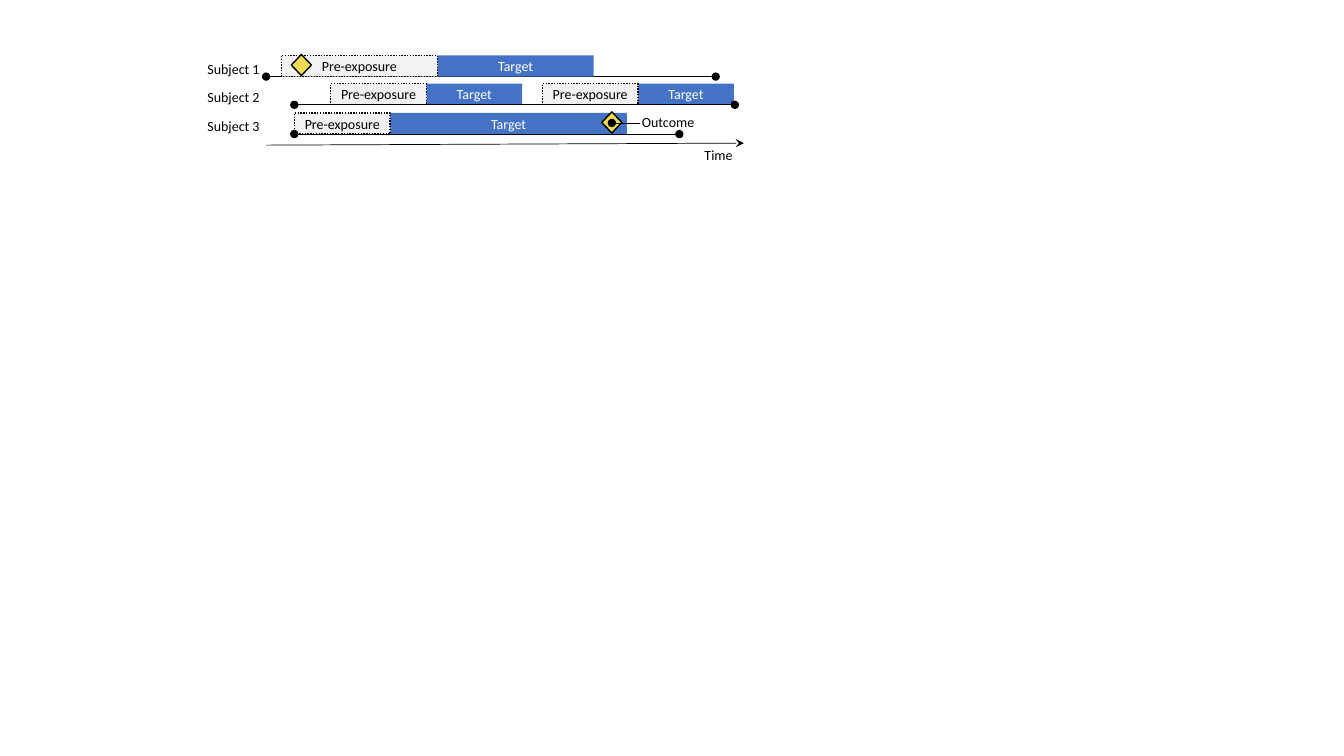
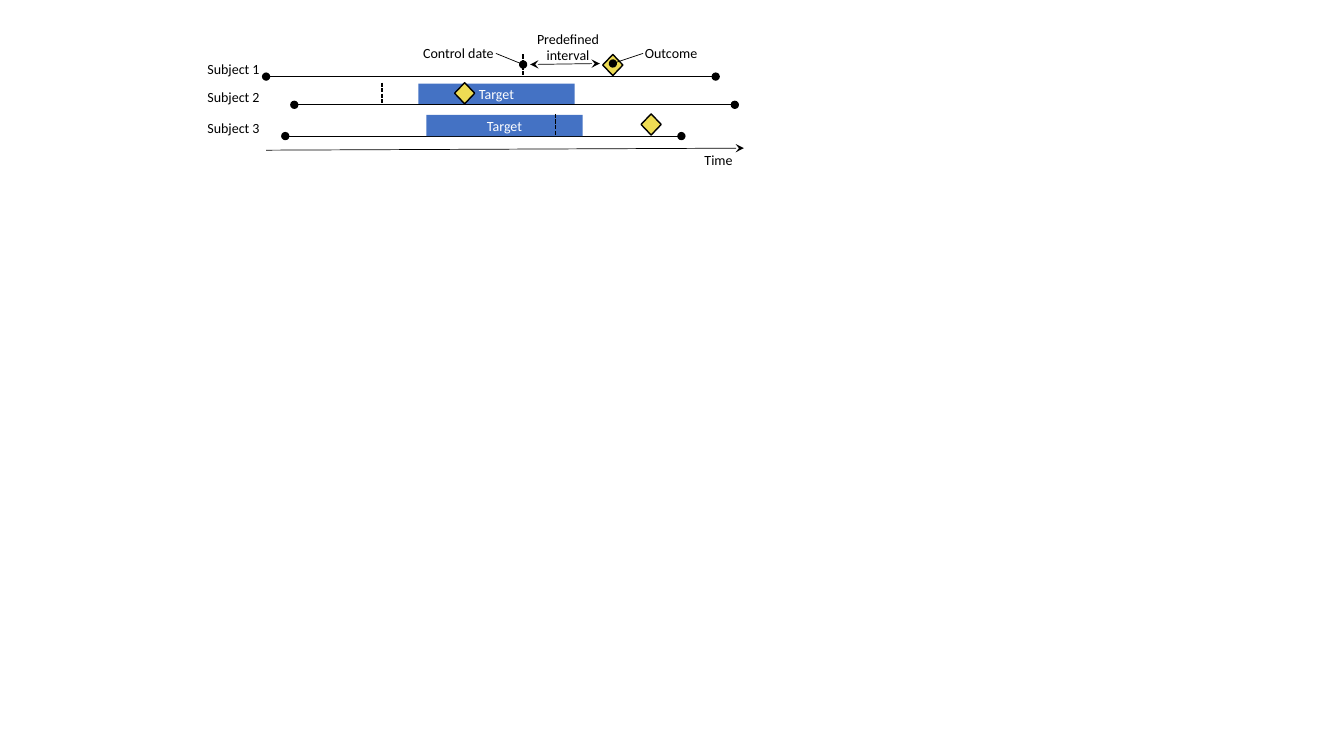
"""Two subject timelines that illustrate exposure and outcome study designs."""
from dataclasses import dataclass
from typing import NamedTuple

from lxml import etree
from pptx import Presentation
from pptx import util as u
from pptx.dml.color import RGBColor
from pptx.enum import dml, shapes, text
from pptx.oxml.ns import qn

COLORS = {"ink": "000000", "paper": "FFFFFF", "target": "4472C4",
          "pre": "F2F2F2", "outcome": "EEDC54"}
FONT = "Calibri"
CELLS_PER_INCH = 10
COLUMNS, ROWS = 133.33, 75
BAR_ROWS = 2.1
MARK_ROWS = 2.2
DIAMOND_COLUMNS = 2
LABEL_ROWS = 2.7
SUBJECT_COLUMN = 19.6
AXIS_START, AXIS_END = 26.4, 73.8


class Exposure(NamedTuple):
    """A target period, with the pre-exposure period that leads up to it."""
    start: float
    pre: float
    target: float


class Label(NamedTuple):
    """Free text placed on the grid."""
    words: str
    column: float
    row: float
    columns: float
    rows: float = LABEL_ROWS
    align: text.PP_ALIGN = text.PP_ALIGN.LEFT


class Stroke(NamedTuple):
    """A straight line between two grid points."""
    start: tuple[float, float]
    end: tuple[float, float]
    head: str = ""
    tail: str = ""
    points: float = 0.5
    dash: dml.MSO_LINE | None = None


@dataclass(frozen=True)
class Subject:
    """One subject's observation period and the events within it."""
    start: float
    end: float
    row: float
    exposures: tuple[Exposure, ...] = ()
    outcome: float | None = None
    control: float | None = None
    line_in_front: bool = False


@dataclass(frozen=True)
class Timeline:
    """All that one slide shows."""
    subjects: tuple[Subject, ...]
    axis_row: float
    labels: tuple[Label, ...]
    pointers: tuple[Stroke, ...]


TIMELINES = (
    Timeline(
        subjects=(
            Subject(26.4, 71, 7.6, (Exposure(27.9, 15.5, 15.5),), outcome=28.9),
            Subject(29.2, 72.9, 10.4, (Exposure(32.8, 9.5, 9.5), Exposure(53.8, 9.5, 9.5)),
                    line_in_front=True),
            Subject(29.2, 67.4, 13.3, (Exposure(29.2, 9.5, 23.5),), outcome=59.7,
                    line_in_front=True),
        ),
        axis_row=14.4,
        labels=(Label("Outcome", 62.7, 10.8, 7.3),),
        pointers=(Stroke((63.5, 12.2), (60.7, 12.2), tail="oval"),),
    ),
    Timeline(
        subjects=(
            Subject(26.4, 71, 7.6, outcome=59.8, control=51.9),
            Subject(29.2, 72.9, 10.4, (Exposure(41.5, 0, 15.5),), outcome=45.1,
                    control=37.9, line_in_front=True),
            Subject(28.3, 67.6, 13.5, (Exposure(42.3, 0, 15.5),), outcome=63.6, control=55.1),
        ),
        axis_row=14.9,
        labels=(
            Label("Outcome", 63, 3.9, 7.3),
            Label("Control date", 41, 3.9, 9.2),
            Label("Predefined\ninterval", 52.2, 2.5, 8.3, 4.4, text.PP_ALIGN.CENTER),
        ),
        pointers=(
            Stroke((63.8, 5.3), (60.8, 6.3), tail="oval"),
            Stroke((49.2, 5.3), (51.9, 6.4), tail="oval"),
            Stroke((52.6, 6.4), (59.5, 6.3), head="stealth", tail="stealth"),
        ),
    ),
)


def grid(cells: float) -> u.Length:
    """Turn a number of grid cells into a length."""
    return u.Inches(cells / CELLS_PER_INCH)


def color(name: str) -> RGBColor:
    """Look up a named colour."""
    return RGBColor.from_string(COLORS[name])


def write(frame, words: str, *, ink: str = "ink", align=text.PP_ALIGN.LEFT, size: float = 10) -> None:
    """Fill a text frame with formatted text."""
    frame.text = words
    for paragraph in frame.paragraphs:
        paragraph.alignment = align
        font = paragraph.runs[0].font
        font.name, font.size = FONT, u.Pt(size)
        font.color.rgb = color(ink)


def draw_label(slide, label: Label) -> None:
    """Place a label that grows with its text."""
    box = slide.shapes.add_textbox(*map(grid, (label.column, label.row, label.columns, label.rows)))
    box.text_frame.word_wrap = False
    box.text_frame.auto_size = text.MSO_AUTO_SIZE.SHAPE_TO_FIT_TEXT
    write(box.text_frame, label.words, align=label.align)


def draw_stroke(slide, stroke: Stroke) -> None:
    """Draw a line with optional dashes and end marks."""
    connector = slide.shapes.add_connector(
        shapes.MSO_CONNECTOR.STRAIGHT, *map(grid, (*stroke.start, *stroke.end)))
    line = connector.line
    line.color.rgb = color("ink")
    line.width = u.Pt(stroke.points)
    if stroke.dash is not None:
        line.dash_style = stroke.dash
    properties = connector._element.spPr
    outline = properties.find(qn("a:ln"))
    for tag, mark in (("a:headEnd", stroke.head), ("a:tailEnd", stroke.tail)):
        if mark:
            etree.SubElement(outline, qn(tag), type=mark)
    etree.SubElement(properties, qn("a:effectLst"))


def draw_shape(slide, kind, fill: str, column: float, row: float, columns: float,
               outlined: bool = True):
    """Draw a filled shape, one bar high, with or without an outline."""
    shape = slide.shapes.add_shape(kind, *map(grid, (column, row, columns, BAR_ROWS)))
    shape.shadow.inherit = False
    shape.fill.solid()
    shape.fill.fore_color.rgb = color(fill)
    if outlined:
        shape.line.color.rgb = color("ink")
        shape.line.width = u.Pt(1)
    else:
        shape.line.fill.background()
    return shape


def draw_bar(slide, words: str, fill: str, column: float, row: float, columns: float,
             *, ink: str = "ink", dotted: bool = False) -> None:
    """Draw a period as a captioned bar."""
    bar = draw_shape(slide, shapes.MSO_SHAPE.RECTANGLE, fill, column, row, columns, dotted)
    if dotted:
        bar.line.dash_style = dml.MSO_LINE.ROUND_DOT
    frame = bar.text_frame
    frame.margin_left = frame.margin_right = frame.margin_top = frame.margin_bottom = 0
    frame.vertical_anchor = text.MSO_ANCHOR.MIDDLE
    write(frame, words, ink=ink, align=text.PP_ALIGN.CENTER)


def draw_subject(slide, number: int, subject: Subject) -> None:
    """Draw a subject's name, observation line, periods and events."""
    observation = Stroke((subject.start, subject.row), (subject.end, subject.row), "oval", "oval")
    bar_row, mark_row = subject.row - BAR_ROWS, subject.row - MARK_ROWS
    draw_label(slide, Label(f"Subject {number}", SUBJECT_COLUMN, bar_row, 7.3))
    if not subject.line_in_front:
        draw_stroke(slide, observation)
    for start, pre, target in subject.exposures:
        draw_bar(slide, "Target", "target", start + pre, bar_row, target, ink="paper")
        if pre:
            draw_bar(slide, "Pre-exposure", "pre", start, bar_row, pre, dotted=True)
    if subject.outcome is not None:
        draw_shape(slide, shapes.MSO_SHAPE.FLOWCHART_DECISION, "outcome",
                   subject.outcome, mark_row, DIAMOND_COLUMNS)
    if subject.control is not None:
        draw_stroke(slide, Stroke((subject.control, mark_row), (subject.control, subject.row),
                                  points=1, dash=dml.MSO_LINE.SQUARE_DOT))
    if subject.line_in_front:
        draw_stroke(slide, observation)


def draw_timeline(slide, timeline: Timeline) -> None:
    """Draw the time axis, the subjects and the annotations."""
    axis = timeline.axis_row
    draw_stroke(slide, Stroke((AXIS_START, axis), (AXIS_END, axis - 0.2), tail="stealth"))
    draw_label(slide, Label("Time", 68.9, axis - 0.4, 4.8))
    for number, subject in enumerate(timeline.subjects, start=1):
        draw_subject(slide, number, subject)
    for label in timeline.labels:
        draw_label(slide, label)
    for pointer in timeline.pointers:
        draw_stroke(slide, pointer)


def main() -> None:
    """Build and save the presentation."""
    deck = Presentation()
    deck.slide_width, deck.slide_height = grid(COLUMNS), grid(ROWS)
    blank = deck.slide_layouts[6]
    for timeline in TIMELINES:
        draw_timeline(deck.slides.add_slide(blank), timeline)
    deck.save("out.pptx")


if __name__ == "__main__":
    main()
